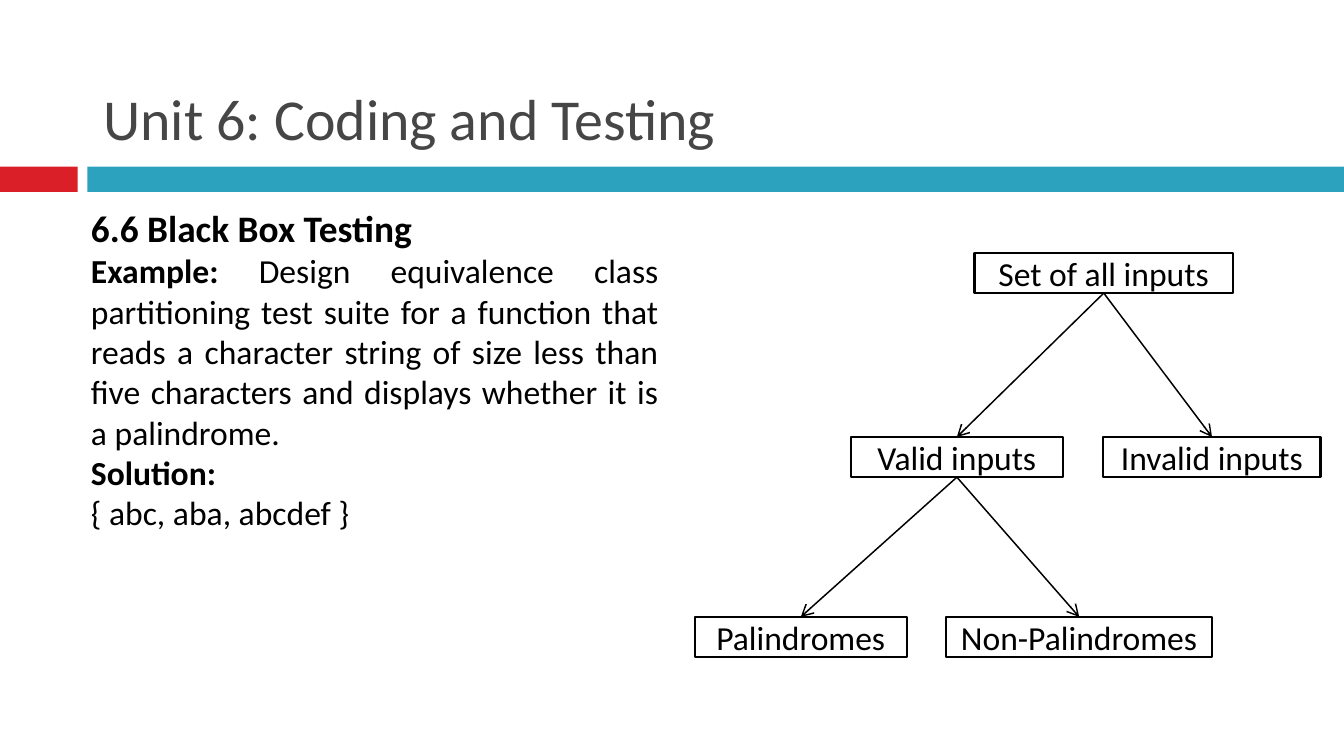
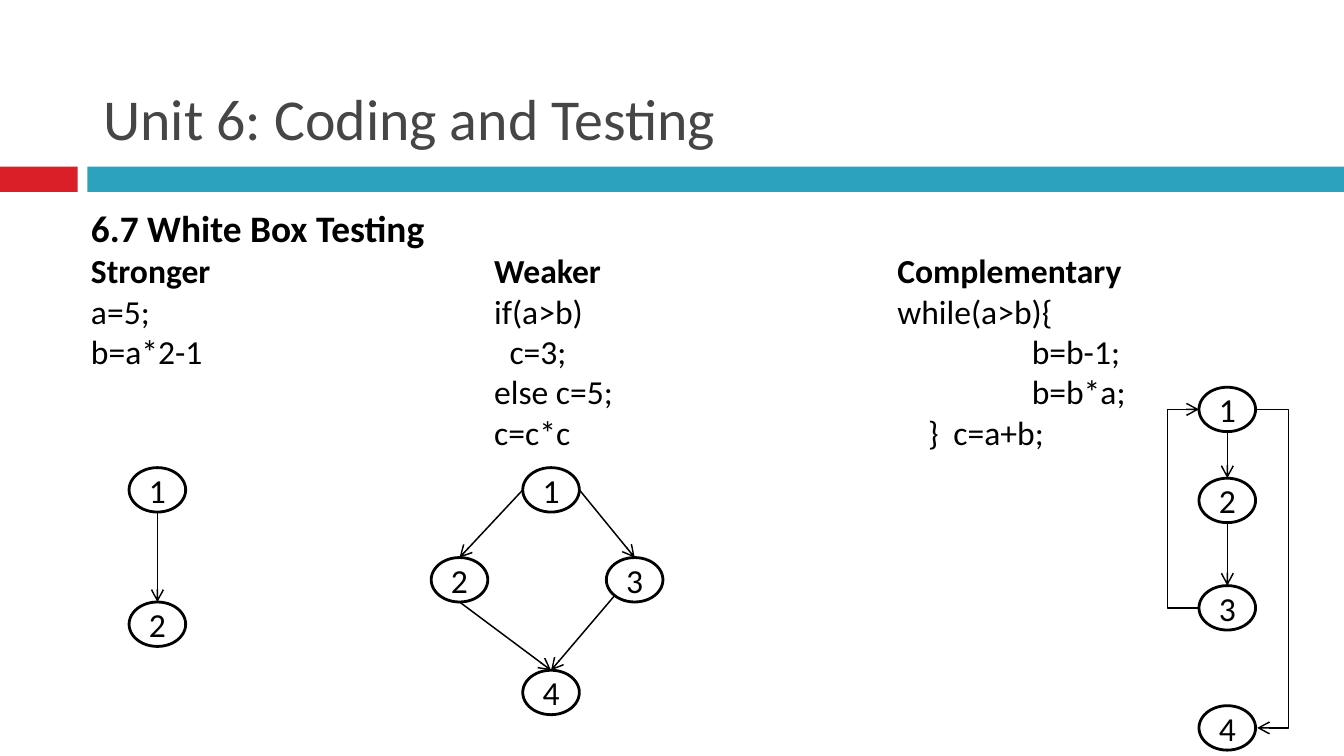
"""Build two slides on black box and white box testing."""
from dataclasses import dataclass

import pptx
import pptx.dml.color
import pptx.enum.shapes
import pptx.enum.text
import pptx.oxml
import pptx.oxml.ns
import pptx.util
from lxml import etree

Cm = pptx.util.Cm
Pt = pptx.util.Pt
Preset = pptx.enum.shapes.MSO_SHAPE
Link = pptx.enum.shapes.MSO_CONNECTOR
Align = pptx.enum.text.PP_ALIGN
Anchor = pptx.enum.text.MSO_ANCHOR
qn = pptx.oxml.ns.qn


@dataclass(frozen=True)
class Theme:
    """Colours, font and sizes of the deck."""
    font: str = "Calibri"
    ink: str = "000000"
    title_ink: str = "464646"
    accent: str = "DA1F28"
    band: str = "2DA2BF"
    title_size: float = 31
    heading_size: float = 20
    text_size: float = 18
    box_line: float = 1.25
    node_line: float = 1.5
    arrow_line: float = 0.79


SITES = {
    "top": (0.5, 0, 0, 0),
    "left": (0, 0.5, 1, 2),
    "lower left": (0.15, 0.85, None, 3),
    "bottom": (0.5, 1, 2, 4),
    "right": (1, 0.5, 3, 6),
}


def site_point(shape, side):
    """Return the point of a connection site on a shape."""
    across, down = SITES[side][:2]
    return round(shape.left + across * shape.width), round(shape.top + down * shape.height)


class Deck:
    """Hold the style and the current slide."""

    def __init__(self, theme):
        """Start an empty deck in the given style."""
        self.theme = theme
        self.show = pptx.Presentation()
        self.show.slide_width = Cm(25.4)
        self.show.slide_height = Cm(14.29)
        self.layout = self.show.slide_layouts[5]
        self.slide = None
        self.canvas = None
        self.banded = False

    def colour(self, code):
        """Turn a hex code into a colour."""
        return pptx.dml.color.RGBColor.from_string(code)

    def style(self, font, size, ink, bold=False):
        """Set the typeface, size, colour and weight of a font."""
        font.name = self.theme.font
        font.size = Pt(size)
        font.color.rgb = self.colour(ink)
        font.bold = bold

    def start(self, title):
        """Add a slide with its title and the shared bands."""
        self.slide = self.show.slides.add_slide(self.layout)
        self.canvas = self.slide.shapes
        if not self.banded:
            self.band(0, 1.47, self.theme.accent)
            self.band(1.65, 23.75, self.theme.band)
            self.banded = True
        heading = self.canvas.title
        heading.left, heading.top, heading.width, heading.height = Cm(1.7), Cm(0.79), Cm(22.66), Cm(2.21)
        frame = heading.text_frame
        frame.text = title
        frame.vertical_anchor = Anchor.BOTTOM
        frame.auto_size = pptx.enum.text.MSO_AUTO_SIZE.NONE
        frame.paragraphs[0].alignment = Align.LEFT
        self.style(frame.paragraphs[0].font, self.theme.title_size, self.theme.title_ink)

    def band(self, left, width, fill):
        """Draw a band and place it on the shared layout."""
        strip = self.canvas.add_shape(Preset.RECTANGLE, Cm(left), Cm(3.15), Cm(width), Cm(0.48))
        strip.shadow.inherit = False
        strip.fill.solid()
        strip.fill.fore_color.rgb = self.colour(fill)
        strip.line.fill.background()
        self.layout.shapes.element.append(strip.element)

    def body(self, heading, width):
        """Add the body text with its heading and return its frame."""
        frame = self.canvas.add_textbox(Cm(1.47), Cm(3.76), Cm(width), Cm(10.16)).text_frame
        frame.word_wrap = True
        frame.text = heading
        self.style(frame.paragraphs[0].font, self.theme.heading_size, self.theme.ink, True)
        return frame

    def prose(self, frame, lead="", rest=""):
        """Add a justified paragraph with a bold lead."""
        paragraph = frame.add_paragraph()
        paragraph.alignment = Align.JUSTIFY
        self.style(paragraph.font, self.theme.text_size, self.theme.ink, not rest)
        for words, bold in ((lead, True), (rest, False)):
            if words:
                run = paragraph.add_run()
                run.text = words
                run.font.bold = bold

    def columns(self, frame, cells, bold=False):
        """Add a line whose cells start at given tab stops."""
        paragraph = frame.add_paragraph()
        paragraph.alignment = Align.LEFT
        self.style(paragraph.font, self.theme.text_size, self.theme.ink, bold)
        paragraph.text = "".join(("\t" if stop else "") + words for stop, words in cells)
        stops = etree.Element(qn("a:tabLst"))
        for stop, _ in cells:
            if stop:
                etree.SubElement(stops, qn("a:tab"), pos=str(Cm(stop)), algn="l")
        paragraph.font._element.getparent().insert(0, stops)

    def group(self):
        """Collect the next diagram parts in a group."""
        self.canvas = self.slide.shapes.add_group_shape().shapes

    def label(self, preset, words, left, top, width, height, weight):
        """Add an outlined shape with centred text."""
        shape = self.canvas.add_shape(preset, Cm(left), Cm(top), Cm(width), Cm(height))
        shape.shadow.inherit = False
        shape.fill.background()
        shape.line.color.rgb = self.colour(self.theme.ink)
        shape.line.width = Pt(weight)
        frame = shape.text_frame
        frame.word_wrap = False
        frame.margin_left = frame.margin_right = frame.margin_top = frame.margin_bottom = 0
        frame.vertical_anchor = Anchor.MIDDLE
        frame.text = words
        frame.paragraphs[0].alignment = Align.CENTER
        self.style(frame.paragraphs[0].font, self.theme.text_size, self.theme.ink)
        return shape

    def box(self, words, left, top, width):
        """Add a box of the input tree."""
        return self.label(Preset.RECTANGLE, words, left, top, width, 0.76, self.theme.box_line)

    def node(self, words, left, top):
        """Add a node of a flow graph."""
        return self.label(Preset.OVAL, words, left, top, 1.07, 0.84, self.theme.node_line)

    def line(self, kind, start, end):
        """Add a thin connector with an open arrowhead."""
        link = self.canvas.add_connector(kind, *start, *end)
        link.line.color.rgb = self.colour(self.theme.ink)
        link.line.width = Pt(self.theme.arrow_line)
        etree.SubElement(link.line._get_or_add_ln(), qn("a:tailEnd"), type="arrow")
        etree.SubElement(link.element.spPr, qn("a:effectLst"))
        return link

    def arrow(self, source, target, leave="bottom", arrive="top"):
        """Join two shapes by a straight arrow glued at both ends."""
        link = self.line(Link.STRAIGHT, site_point(source, leave), site_point(target, arrive))
        glue = link.element.nvCxnSpPr.cNvCxnSpPr
        for tag, shape, side in (("a:stCxn", source, leave), ("a:endCxn", target, arrive)):
            index = SITES[side][3 if shape.auto_shape_type == Preset.OVAL else 2]
            etree.SubElement(glue, qn(tag), id=str(shape.shape_id), idx=str(index))

    def loop(self, source, target, side, reach):
        """Join two stacked nodes by an arrow bent round one side."""
        gap = Cm(0.03)
        start, end = site_point(source, side), site_point(target, side)
        if side == "left":
            start = (start[0] + gap, start[1])
        else:
            end = (end[0] + gap, end[1])
        link = self.line(Link.ELBOW, start, end)
        bend = round(Cm(reach) / gap * 100000)
        guides = link.element.spPr.find(qn("a:prstGeom")).get_or_add_avLst()
        etree.SubElement(guides, qn("a:gd"), name="adj1", fmla=f"val {bend}")


def black_box(deck):
    """Build the slide on equivalence classes."""
    deck.start("Unit 6: Coding and Testing")
    text = deck.body("6.6 Black Box Testing", 11.23)
    deck.prose(text, "Example:", " Design equivalence class partitioning test suite for a function that "
               "reads a character string of size less than five characters and displays whether it is "
               "a palindrome.")
    deck.prose(text, "Solution:")
    deck.prose(text, rest="{ abc, aba, abcdef }")
    deck.group()
    inputs = deck.box("Set of all inputs", 18.42, 4.78, 4.88)
    valid = deck.box("Valid inputs", 16.08, 8.26, 4.01)
    invalid = deck.box("Invalid inputs", 20.85, 8.26, 4.11)
    palindromes = deck.box("Palindromes", 13.13, 11.66, 4.01)
    others = deck.box("Non-Palindromes", 17.88, 11.66, 5.03)
    for parent, children in ((inputs, (valid, invalid)), (valid, (palindromes, others))):
        for child in children:
            deck.arrow(parent, child)


def white_box(deck):
    """Build the slide on flow graphs."""
    deck.start("Unit 6: Coding and Testing")
    text = deck.body("6.7 White Box Testing", 23.7)
    middle, right, inner = 7.62, 15.24, 17.78
    deck.columns(text, [(0, "Stronger"), (middle, "Weaker"), (right, "Complementary")], bold=True)
    for cells in (
        [(0, "a=5;"), (middle, "if(a>b)"), (right, "while(a>b){")],
        [(0, "b=a*2-1"), (middle + 0.29, "c=3;"), (inner, "b=b-1;")],
        [(middle, "else c=5;"), (inner, "b=b*a;")],
        [(middle, "c=c*c"), (right + 0.58, "}"), (right + 1.06, "c=a+b;")],
    ):
        deck.columns(text, cells)

    deck.group()
    first, second = (deck.node(name, 2.44, top) for name, top in (("1", 8.84), ("2", 11.38)))
    deck.arrow(first, second)

    deck.group()
    test = deck.node("1", 9.88, 8.84)
    then = deck.node("2", 8.15, 10.54)
    otherwise = deck.node("3", 11.46, 10.54)
    square = deck.node("4", 9.88, 12.67)
    deck.arrow(otherwise, square, leave="lower left")
    deck.arrow(then, square)
    deck.arrow(test, otherwise, leave="right")
    deck.arrow(test, then, leave="left")

    deck.group()
    tops = (7.32, 9.04, 11.07, 13.34)
    check, subtract, multiply, add = (deck.node(str(n), 22.66, top) for n, top in enumerate(tops, 1))
    deck.arrow(check, subtract)
    deck.arrow(subtract, multiply)
    deck.loop(multiply, check, "left", 0.62)
    deck.loop(check, add, "right", 0.62)


def main():
    """Build and save the deck."""
    deck = Deck(Theme())
    black_box(deck)
    white_box(deck)
    deck.show.save("out.pptx")


if __name__ == "__main__":
    main()
